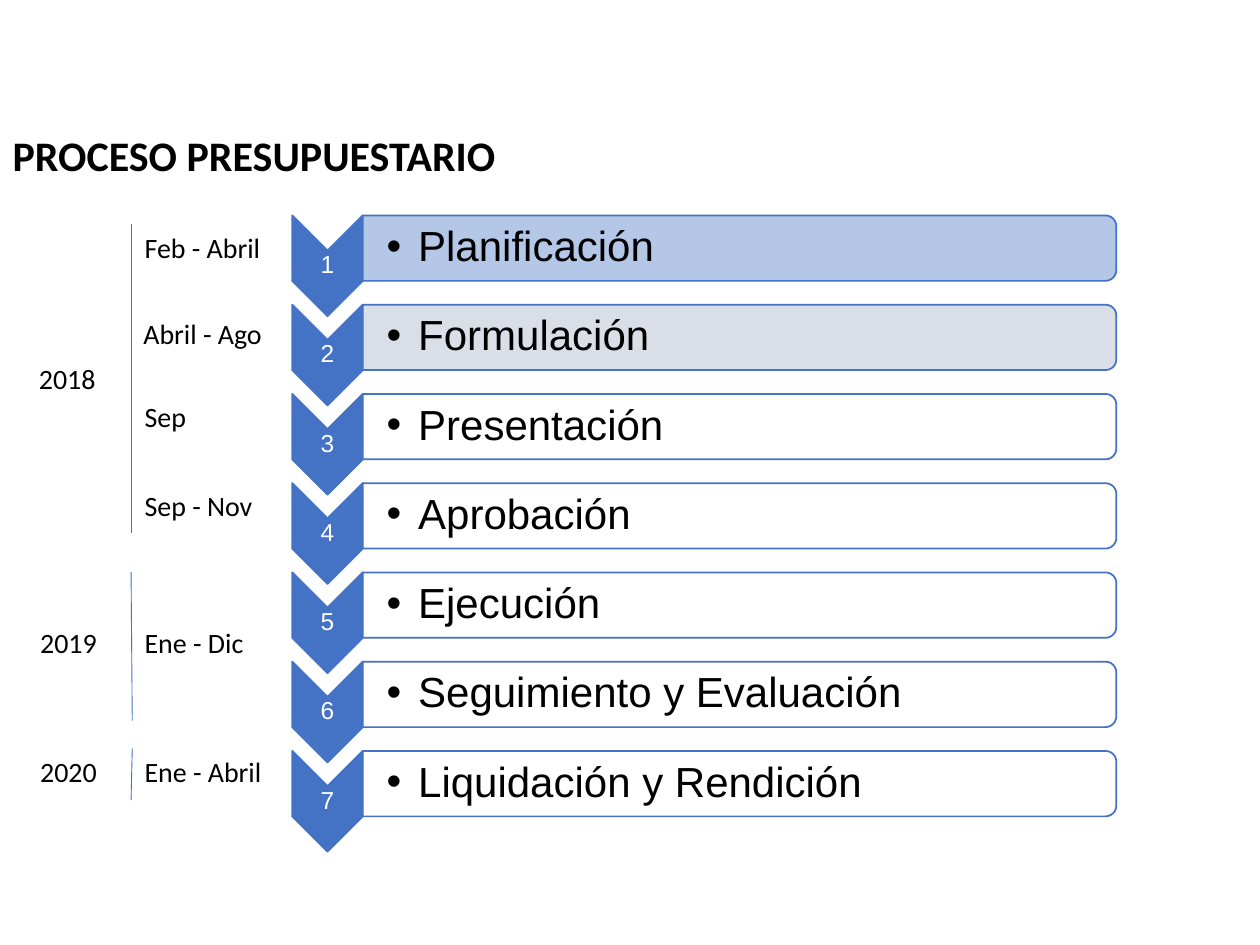
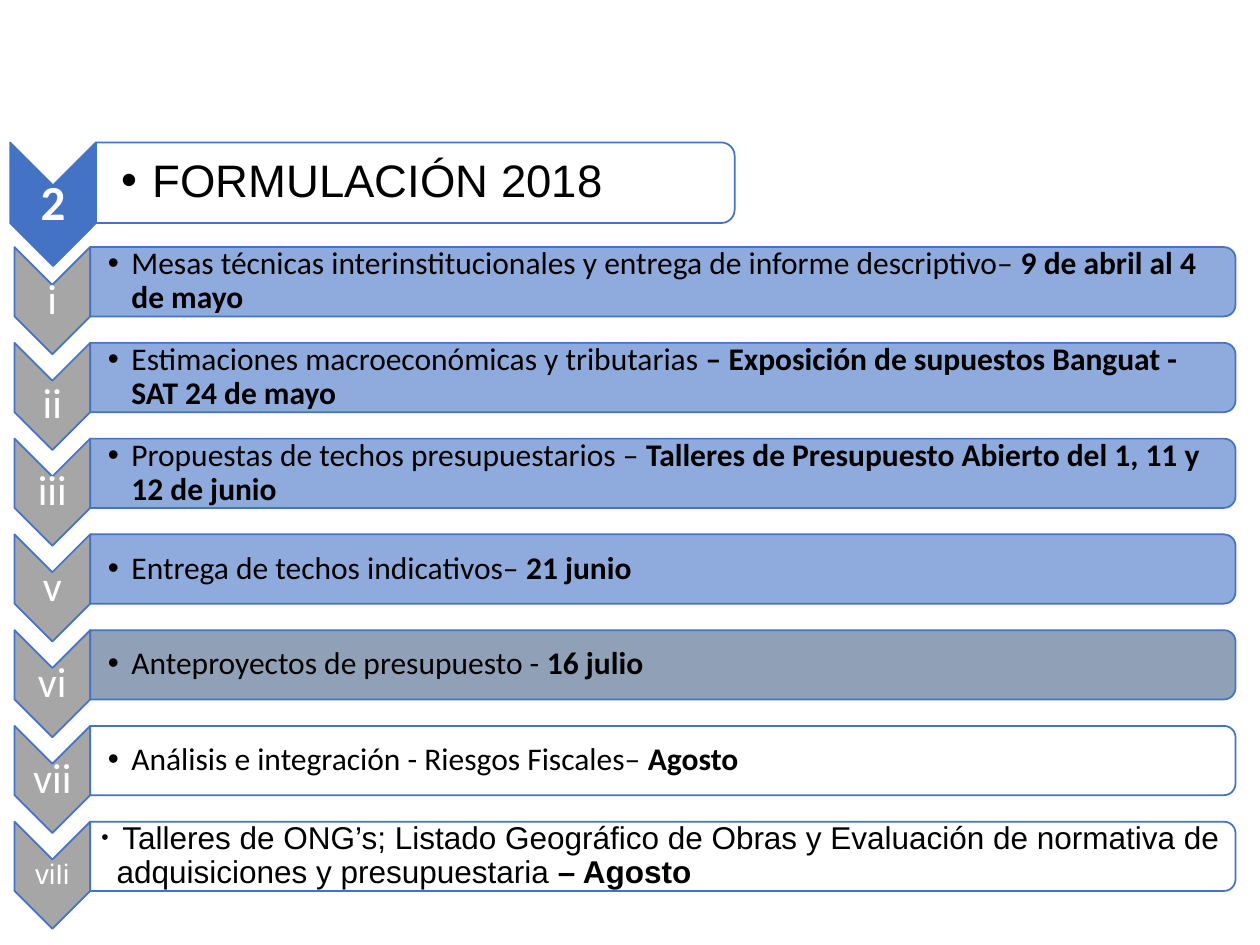
"""Builds two slides on the budget process: its seven stages and the 2018 formulation steps."""
from lxml import etree
from pptx import Presentation
from pptx.dml.color import RGBColor
from pptx.enum.shapes import MSO_CONNECTOR, MSO_SHAPE
from pptx.enum.text import MSO_ANCHOR, MSO_AUTO_SIZE, PP_ALIGN
from pptx.oxml.ns import qn
from pptx.util import Pt

CHEVRON, BAND = MSO_SHAPE.CHEVRON, MSO_SHAPE.ROUND_2_SAME_RECTANGLE
STRAIGHT = MSO_CONNECTOR.STRAIGHT
TOP, MIDDLE = MSO_ANCHOR.TOP, MSO_ANCHOR.MIDDLE
LEFT, CENTER = PP_ALIGN.LEFT, PP_ALIGN.CENTER
FIXED = MSO_AUTO_SIZE.NONE

COLORS = {
    "blue": "4472C4", "light blue": "B4C7E7", "mid blue": "8FAADC",
    "pale slate": "D6DCE5", "slate": "8497B0", "gray": "A6A6A6",
    "white": "FFFFFF", "black": "000000",
}
SEE_THROUGH = ("pale slate", "slate", "white")


def add_turned(page, kind, left, top, width, height, color):
    """Add a shape turned by 90 degrees that covers the given area."""
    shift = (width - height) / 2
    shape = page.shapes.add_shape(kind, Pt(left + shift), Pt(top - shift), Pt(height), Pt(width))
    shape.rotation = 90
    shape.shadow.inherit = False
    shape.fill.solid()
    shape.fill.fore_color.rgb = RGBColor.from_string(COLORS[color])
    shape.line.color.rgb = RGBColor.from_string(COLORS["blue"])
    shape.line.width = Pt(1)
    if kind == BAND and color in SEE_THROUGH:
        tone = shape.fill._xPr.find(qn("a:solidFill"))[0]
        etree.SubElement(tone, qn("a:alpha"), val="90000")


def write_text(box, area, spans, size, font="Calibri", color="black", align=LEFT,
               anchor=MIDDLE, margins=(7.2, 3.6), indent=0, spacing=0.9, bold=False):
    """Place a text box or placeholder and write one paragraph of (text, bold, size) spans."""
    box.left, box.top, box.width, box.height = map(Pt, area)
    frame = box.text_frame
    frame.word_wrap = True
    frame.auto_size = FIXED
    frame.vertical_anchor = anchor
    frame.margin_left = Pt(margins[0])
    frame.margin_top = frame.margin_right = frame.margin_bottom = Pt(margins[1])
    para = frame.paragraphs[0]
    para.alignment = align
    para.line_spacing = spacing
    if indent:
        settings = para._p.get_or_add_pPr()
        settings.set("marL", str(Pt(indent)))
        settings.set("indent", str(-Pt(indent)))
        etree.SubElement(settings, qn("a:buFont"), typeface="Arial")
        etree.SubElement(settings, qn("a:buChar"), char="•")
    para.font.name = font
    para.font.size = Pt(size)
    para.font.bold = bold
    para.font.color.rgb = RGBColor.from_string(COLORS[color])
    for text, strong, own_size in spans:
        span = para.add_run()
        span.text = text
        if strong:
            span.font.bold = True
        if own_size:
            span.font.size = Pt(own_size)


deck = Presentation()
deck.slide_width, deck.slide_height = Pt(720), Pt(540)
title_only = deck.slide_layouts[5]
process_page = deck.slides.add_slide(title_only)
formulation_page = deck.slides.add_slide(title_only)

process_title = process_page.shapes.title
process_title.fill.solid()
process_title.fill.fore_color.rgb = RGBColor.from_string(COLORS["white"])
write_text(process_title, (0, 70.5, 720, 36), [("PROCESO PRESUPUESTARIO", False, None)],
           24, spacing=1, bold=True)

stages = [
    ("Planificación", "light blue"), ("Formulación", "pale slate"), ("Presentación", "white"),
    ("Aprobación", "white"), ("Ejecución", "white"), ("Seguimiento y Evaluación", "white"),
    ("Liquidación y Rendición", "white"),
]
tasks = [
    ("i", "mid blue", "Mesas técnicas interinstitucionales y entrega de informe descriptivo– ",
     "9 de abril al 4 de mayo"),
    ("ii", "mid blue", "Estimaciones macroeconómicas y tributarias ",
     "– Exposición de supuestos Banguat - SAT 24 de mayo"),
    ("iii", "mid blue", "Propuestas de techos presupuestarios – ",
     "Talleres de Presupuesto Abierto del 1, 11 y 12 de junio"),
    ("v", "mid blue", "Entrega de techos indicativos– ", "21 junio"),
    ("vi", "slate", "Anteproyectos de presupuesto - ", "16 julio"),
    ("vii", "white", "Análisis e integración - Riesgos Fiscales– ", "Agosto"),
]
task_steps = [(mark, color, [(text, False, None), (date, True, None)])
              for mark, color, text, date in tasks]
workshop_step = ("viIi", "white", [
    (" ", False, 12),
    ("Talleres de ONG’s; Listado Geográfico de Obras y Evaluación de normativa de "
     "adquisiciones y presupuestaria ", False, None),
    ("– Agosto", True, None),
])

task_pitch = 54.72
task_group = {
    "page": formulation_page, "left": 29.9 - 21.6, "top": 141.2, "pitch": task_pitch,
    "chevron": (43.2, 61.2), "band": (654.5, 39.6), "chevron color": "gray",
    "mark": {"size": 24}, "text": {"size": 18, "margins": (10.1, 0.7), "indent": 13.5},
    "steps": task_steps,
}
groups = [
    {
        "page": process_page, "left": 167, "top": 123.1, "pitch": 51,
        "chevron": (40.3, 57.6), "band": (430.6, 37.4), "chevron color": "blue",
        "mark": {"size": 14, "font": "Arial"},
        "text": {"size": 24, "font": "Arial", "margins": (13.7, 1.4), "indent": 18},
        "steps": [(str(number), color, [(name, False, None)])
                  for number, (name, color) in enumerate(stages, 1)],
    },
    {
        "page": formulation_page, "left": 5.8, "top": 81.4, "pitch": 0,
        "chevron": (49, 70.6), "band": (365, 46.1), "chevron color": "blue",
        "mark": {"size": 28, "bold": True},
        "text": {"size": 26, "font": "Arial", "margins": (14.4, 1.4), "indent": 18},
        "steps": [("2", "white", [("FORMULACIÓN 2018", False, None)])],
        "title": formulation_page.shapes.title,
    },
    task_group,
    task_group | {
        "top": task_group["top"] + len(tasks) * task_pitch,
        "mark": {"size": 16, "font": "Arial"},
        "text": {"size": 18, "font": "Arial", "margins": (6.5, 0.7), "indent": 8.64},
        "steps": [workshop_step],
    },
]

for group in groups:
    page = group["page"]
    chevron_width, chevron_height = group["chevron"]
    band_width, band_height = group["band"]
    band_left = group["left"] + chevron_width
    for row, (mark, band_color, spans) in enumerate(group["steps"]):
        top = group["top"] + row * group["pitch"]
        add_turned(page, CHEVRON, group["left"], top, chevron_width, chevron_height,
                   group["chevron color"])
        mark_height = chevron_height * 0.3
        mark_area = (group["left"], top + (chevron_height - mark_height) / 2,
                     chevron_width, mark_height)
        write_text(page.shapes.add_textbox(0, 0, 0, 0), mark_area, [(mark, False, None)],
                   color="white", align=CENTER, margins=(1, 1),
                   anchor=TOP if mark == "ii" else MIDDLE, **group["mark"])
        add_turned(page, BAND, band_left, top, band_width, band_height, band_color)
        if "title" in group:
            box = group["title"]
            page.shapes.element.append(box.element)
        else:
            box = page.shapes.add_textbox(0, 0, 0, 0)
        write_text(box, (band_left, top + 1.8, band_width - 2, band_height - 3.6), spans,
                   **group["text"])

months = [
    ("Feb - Abril", 75.6, 128.2), ("Abril - Ago", 74.9, 177.1), ("Sep", 75.6, 224.6),
    ("Sep - Nov", 75.6, 275.8), ("Ene - Dic", 75.6, 354.2), ("Ene - Abril", 75.6, 427.7),
]
years = [("2018", 2.9, 203), ("2019", 3.6, 354.2), ("2020", 3.6, 427.7)]
for labels, width, align in ((months, 96.5, LEFT), (years, 67.7, CENTER)):
    for label, left, top in labels:
        write_text(process_page.shapes.add_textbox(0, 0, 0, 0), (left, top, width, 26.6),
                   [(label, False, None)], 16, align=align, anchor=TOP, spacing=1)

for start_x, start_y, end_x, end_y in ((74.9, 128.2, 74.9, 304.6), (74.9, 326.9, 75.6, 411.8),
                                       (75.6, 427.7, 74.9, 457.2)):
    year_line = process_page.shapes.add_connector(STRAIGHT, Pt(start_x), Pt(start_y),
                                                  Pt(end_x), Pt(end_y))
    year_line.line.color.rgb = RGBColor.from_string(COLORS["blue"])
    year_line.line.width = Pt(0.5)
    etree.SubElement(year_line.element.spPr, qn("a:effectLst"))

deck.save("out.pptx")
